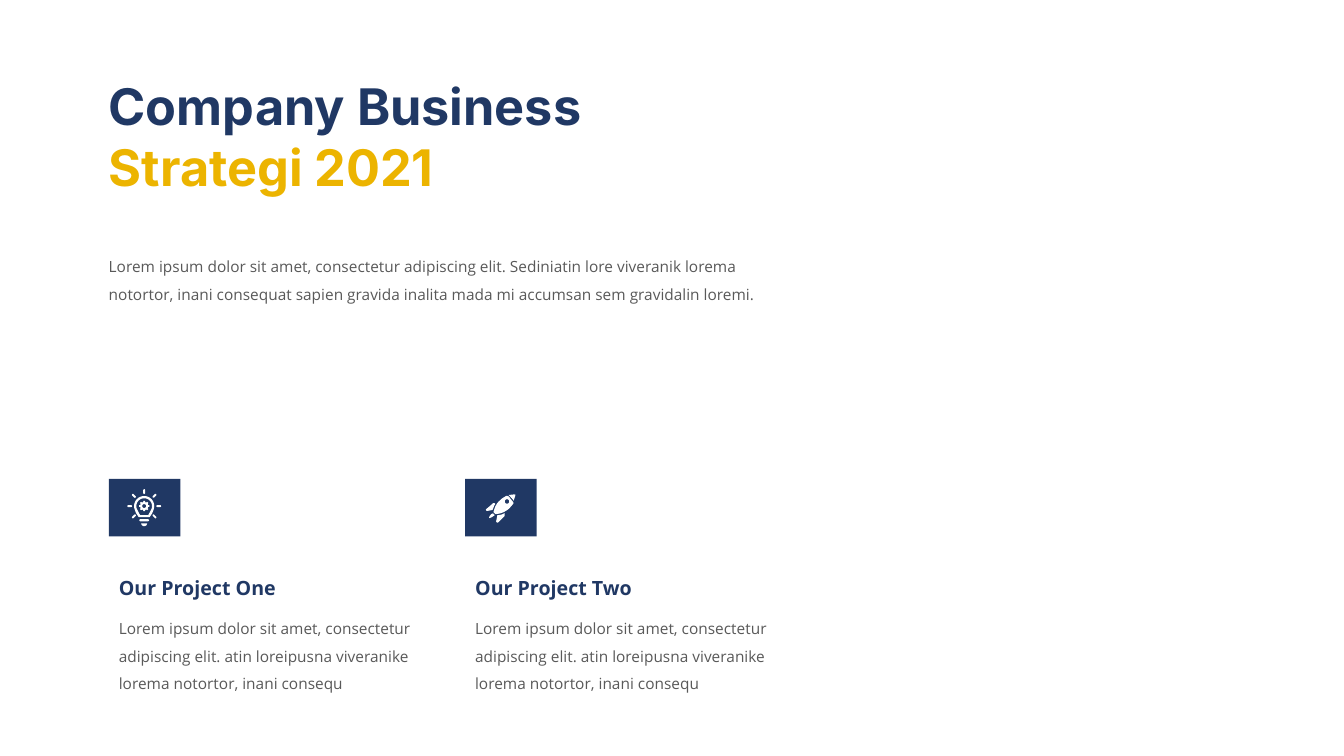
from math import cos, radians, sin

from pptx import Presentation, util as u
from pptx.dml import color
from pptx.enum import shapes, text

NAVY, GOLD, GREY, WHITE = "203864", "ECB400", "595959", "FFFFFF"
HEAD, BODY = "Inter", "Open Sans"
INTRO = ("Lorem ipsum dolor sit amet, consectetur adipiscing elit. Sediniatin lore "
         "viveranik lorema notortor, inani consequat sapien gravida inalita mada mi "
         "accumsan sem gravidalin loremi.")
BLURB = ("Lorem ipsum dolor sit amet, consectetur adipiscing elit. "
         "atin loreipusna viveranike lorema notortor, inani consequ")

ROCKET = {
    "nose": [(36, 11.5), (35.3, 10.8, 33.1, 11.5, 31, 11.5),
             (31.7, 12.2, 32.4, 13, 33.1, 13.7),
             (33.8, 14.4, 34.6, 15.1, 34.6, 15.8),
             (35.3, 13.7, 36, 11.5, 36, 11.5)],
    "wing": [(21.6, 18), (20.9, 17.3), (20.2, 17.3, 19.8, 17.3, 19.4, 18),
             (15.1, 21.6), (14.4, 22.3, 15.1, 23, 15.8, 23),
             (19.4, 22.3), (20.2, 21.6, 20.2, 19.4, 21.6, 18)],
    "fin": [(28.1, 24.5), (25.9, 25.9, 24.5, 25.9, 23, 25.9),
            (22.3, 29.5), (21.6, 31, 23, 31.7, 23.8, 31),
            (28.1, 26.6)],
    "hull": [(29.5, 12.2), (28.1, 13, 26.6, 13.7, 25.2, 15.1),
             (21.6, 18, 20.9, 21.6, 20.2, 23.8),
             (21.6, 25.2), (23.8, 25.2, 27.4, 24.5, 31, 21.6),
             (32.4, 20.2, 33.8, 18.7, 34.6, 17.3),
             (33.8, 15.8, 33.1, 15.1, 32.4, 14.4),
             (31.7, 13, 31, 12.2, 29.5, 12.2)],
    "flame": [(20.2, 25.2), (20.2, 24.5, 20.2, 24.5, 18.7, 25.2),
              (18, 25.9, 16.6, 27.4, 17.3, 28.1),
              (17.3, 28.1, 19.4, 27.4, 20.2, 26.6),
              (21.6, 25.9, 20.9, 25.9, 20.2, 25.2)],
}


def paint(code):
    return color.RGBColor.from_string(code)


def trace(steps, count=8):
    dots = [steps[0]]
    for step in steps[1:]:
        if len(step) == 2:
            dots.append(step)
            continue
        start = dots[-1]
        for i in range(1, count + 1):
            t = i / count
            s = 1 - t
            dots.append(tuple(
                s ** 3 * start[k] + 3 * s * s * t * step[k]
                + 3 * s * t * t * step[k + 2] + t ** 3 * step[k + 4]
                for k in (0, 1)))
    return dots


def arc(x, y, size, first=0, last=360, count=32):
    turns = [radians(first + (last - first) * i / count) for i in range(count + 1)]
    return [(x + size * cos(a), y + size * sin(a)) for a in turns]


def gear(x, y, inner, outer, teeth=8):
    dots = []
    for i in range(teeth):
        for shift, size in ((-14, inner), (-9, outer), (9, outer), (14, inner)):
            a = radians(i * 360 / teeth + shift)
            dots.append((x + size * cos(a), y + size * sin(a)))
    return dots


class Page:
    def __init__(self, deck):
        self.slide = deck.slides.add_slide(deck.slide_layouts[6])
        self.home = self.pen = self.slide.shapes

    def style(self, shape, fill):
        shape.shadow.inherit = False
        shape.fill.solid()
        shape.fill.fore_color.rgb = paint(fill)
        shape.line.fill.background()

    def label(self, box, runs, size, font, bold=False, gap=None, wrap=True):
        frame = self.home.add_textbox(*map(u.Pt, box)).text_frame
        frame.word_wrap = wrap
        frame.auto_size = text.MSO_AUTO_SIZE.SHAPE_TO_FIT_TEXT
        para = frame.paragraphs[0]
        if gap:
            para.line_spacing = gap
        for words, tint in runs:
            run = para.add_run()
            run.text = words
            run.font.name = font
            run.font.size = u.Pt(size)
            run.font.bold = bold
            run.font.color.rgb = paint(tint)

    def block(self, box, fill):
        shape = self.home.add_shape(shapes.MSO_SHAPE.RECTANGLE, *map(u.Pt, box))
        self.style(shape, fill)

    def group(self):
        self.pen = self.home.add_group_shape().shapes

    def bar(self, x, y, wide, high, turn=0):
        shape = self.pen.add_shape(
            shapes.MSO_SHAPE.ROUNDED_RECTANGLE,
            *map(u.Pt, (x - wide / 2, y - high / 2, wide, high)))
        shape.adjustments[0] = 0.5
        shape.rotation = turn
        self.style(shape, WHITE)

    def form(self, left, top, *loops):
        loops = [[(u.Pt(left + x), u.Pt(top + y)) for x, y in loop] for loop in loops]
        build = self.pen.build_freeform(*loops[0][0])
        build.add_line_segments(loops[0][1:])
        for loop in loops[1:]:
            build.move_to(*loop[0])
            build.add_line_segments(loop[1:])
        self.style(build.convert_to_shape(), WHITE)

    def bulb(self, left, top):
        self.group()
        x, y = 25.2, 19.5
        outer = arc(x, y, 7.2, 160, 380) + [
            (x + 5.8, y + 5), (x + 3.9, y + 7.9), (x - 3.9, y + 7.9), (x - 5.8, y + 5)]
        inner = arc(x, y, 5.6, 160, 380) + [
            (x + 4.3, y + 3.9), (x + 2.9, y + 6.4), (x - 2.9, y + 6.4), (x - 4.3, y + 3.9)]
        self.form(left, top, outer, inner)
        self.form(left, top, gear(x, y, 2.9, 3.7), arc(x, y, 1.4))
        self.bar(left + x, top + y + 10.1, 7, 1.5)
        self.form(left, top, arc(x, y + 12.3, 2.1, 0, 180))
        for turn in range(135, 406, 45):
            a = radians(turn)
            self.bar(left + x + 10.4 * cos(a), top + y + 10.4 * sin(a), 3.4, 1.4, turn)

    def rocket(self, left, top):
        self.group()
        for name, steps in ROCKET.items():
            hole = [arc(29.9, 16.2, 1.6)] if name == "hull" else []
            self.form(left, top, trace(steps), *hole)


def main():
    deck = Presentation()
    deck.slide_width, deck.slide_height = u.Pt(960), u.Pt(540)
    page = Page(deck)
    page.label((70.6, 50.4, 374.4, 94.3),
               [("Company Business ", NAVY), ("Strategi 2021", GOLD)], 36, HEAD, bold=True)
    page.label((70.6, 173.5, 477.4, 45.4), [(INTRO, GREY)], 11, BODY, gap=1.5)
    cards = (("Our Project One", 129.6, page.bulb), ("Our Project Two", 128.2, page.rocket))
    top = 342
    for i, (name, wide, icon) in enumerate(cards):
        left = 77.8 + i * 254.5
        page.label((left, 407.5, wide, 24.5), [(name, NAVY)], 14, BODY, bold=True, wrap=False)
        page.label((left, 432, 223.2, 64.8), [(BLURB, GREY)], 11, BODY, gap=1.5)
        page.block((left, top, 51.1, 41.2), NAVY)
        icon(left, top)
    deck.save("out.pptx")


if __name__ == "__main__":
    main()
